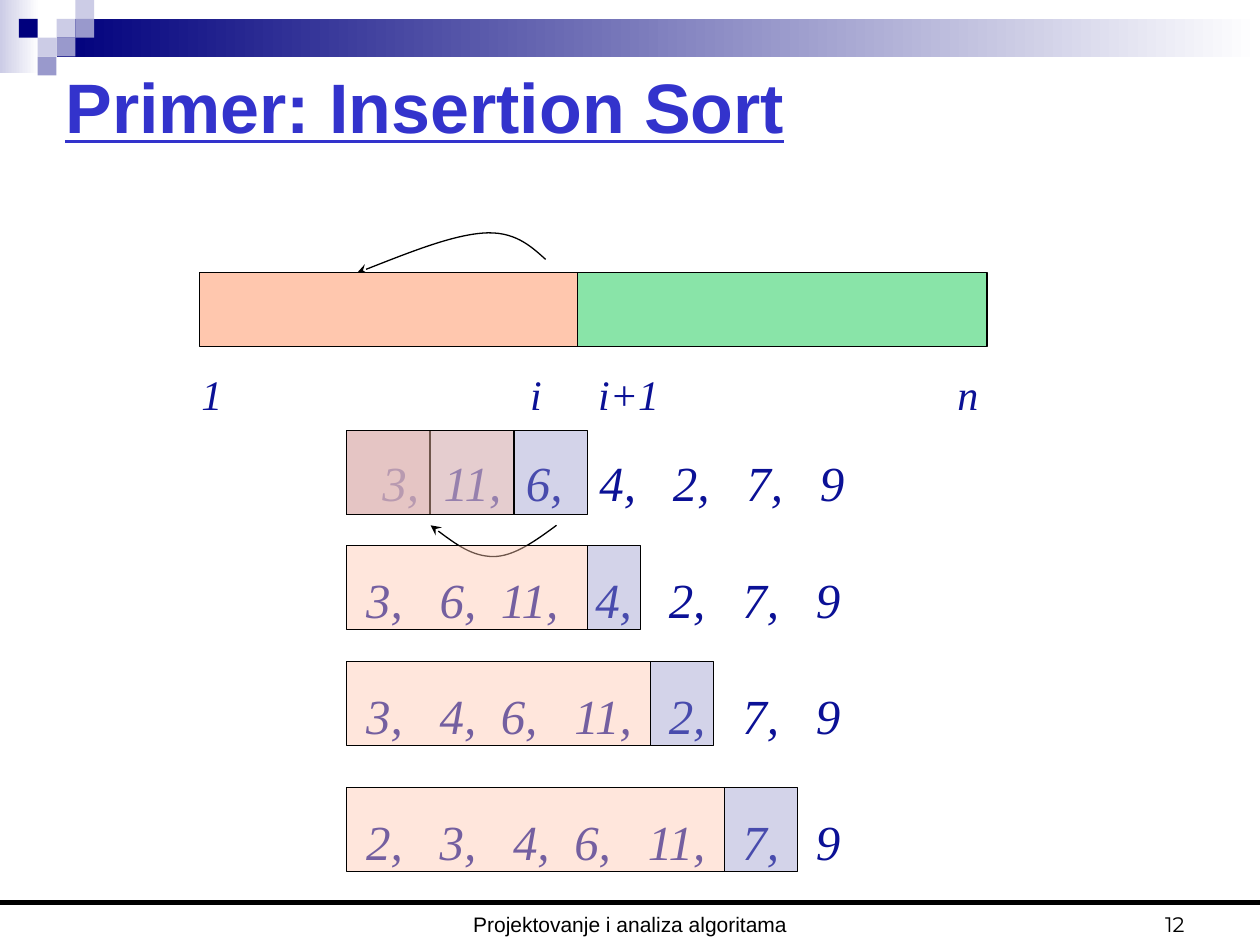
from itertools import accumulate

from lxml import etree
from pptx import Presentation
from pptx.dml.color import RGBColor
from pptx.enum.shapes import MSO_CONNECTOR, MSO_SHAPE
from pptx.enum.text import MSO_ANCHOR, PP_ALIGN
from pptx.oxml.ns import qn
from pptx.util import Cm, Pt

RECT, LINE = MSO_SHAPE.RECTANGLE, MSO_CONNECTOR.STRAIGHT
TOP, MIDDLE, BOTTOM = MSO_ANCHOR.TOP, MSO_ANCHOR.MIDDLE, MSO_ANCHOR.BOTTOM
LEFT, CENTER, RIGHT = PP_ALIGN.LEFT, PP_ALIGN.CENTER, PP_ALIGN.RIGHT

BLACK, WHITE, NAVY = "000000", "FFFFFF", "00007D"
PALE, LILAC = "CCCCE6", "9999CC"
PEACH, GREEN = "FFC7AE", "89E4A8"
GLASS = 43

TITLE = {"name": "Arial", "size": Pt(40), "bold": True, "underline": True}
FOOT = {"name": "Arial", "size": Pt(12)}
PAGE = {"name": "Montserrat", "size": Pt(12)}
LABEL = {"name": "Times New Roman", "size": Pt(24), "italic": True}
DIGIT = {**LABEL, "size": Pt(28)}


def rgb(code):
    return RGBColor.from_string(code)


class Deck:
    ink = "0B1196"
    thin = Pt(0.75)

    def __init__(self):
        self.file = Presentation()
        self.file.slide_width, self.file.slide_height = Cm(25.4), Cm(19.05)
        self.slide = self.file.slides.add_slide(self.file.slide_layouts[6])
        self.shapes = self.slide.shapes

    def rect(self, x, y, w, h, fill, alpha=None, edge=True):
        """Draw a box; a pair of colours as fill gives a gradient."""
        box = self.shapes.add_shape(RECT, Cm(x), Cm(y), Cm(w), Cm(h))
        box.shadow.inherit = False
        if isinstance(fill, tuple):
            box.fill.gradient()
            box.fill.gradient_angle = 0
            for stop, code in zip(box.fill.gradient_stops, fill):
                stop.color.rgb = rgb(code)
        else:
            box.fill.solid()
            box.fill.fore_color.rgb = rgb(fill)
        if alpha:
            color = box._element.spPr.find(".//" + qn("a:srgbClr"))
            etree.SubElement(color, qn("a:alpha"), val=str(alpha * 1000))
        if edge:
            self.stroke(box)
        else:
            box.line.fill.background()

    def stroke(self, shape, width=thin):
        shape.line.color.rgb = rgb(BLACK)
        shape.line.width = width

    def rule(self, x, y, end, width):
        line = self.shapes.add_connector(LINE, Cm(x), Cm(y), Cm(end), Cm(y))
        self.stroke(line, width)
        etree.SubElement(line._element.spPr, qn("a:effectLst"))

    def curve(self, points):
        """Draw an arrow of cubic pieces: a start, then three points each."""
        start, *rest = [(Cm(x), Cm(y)) for x, y in points]
        pen = self.shapes.build_freeform(*start)
        pen.add_line_segments(rest, close=False)
        arc = pen.convert_to_shape()
        arc.shadow.inherit = False
        arc.fill.background()
        self.stroke(arc)
        path = arc._element.spPr.find(".//" + qn("a:path"))
        sides = path.findall(qn("a:lnTo"))
        for i in range(0, len(sides), 3):
            cubic = etree.SubElement(path, qn("a:cubicBezTo"))
            for side in sides[i:i + 3]:
                cubic.append(side[0])
                path.remove(side)
        etree.SubElement(arc.line._get_or_add_ln(), qn("a:tailEnd"), type="stealth")

    def text(self, x, y, w, h, words, style, color=ink, align=LEFT,
             anchor=TOP, inset=0.25, stops=()):
        box = self.shapes.add_textbox(Cm(x), Cm(y), Cm(w), Cm(h))
        frame = box.text_frame
        look = {"word_wrap": True, "vertical_anchor": anchor,
                "margin_left": Cm(inset), "margin_top": Cm(0.23)}
        for key, value in look.items():
            setattr(frame, key, value)
        para = frame.paragraphs[0]
        if stops:
            tabs = etree.SubElement(para._p.get_or_add_pPr(), qn("a:tabLst"))
            for stop in stops:
                etree.SubElement(tabs, qn("a:tab"), pos=str(Pt(stop)), algn="l")
        para.alignment = align
        run = para.add_run()
        run.text = words
        for key, value in style.items():
            setattr(run.font, key, value)
        run.font.color.rgb = rgb(color)

    def row(self, x, y, inset, items, tight):
        """Write a number row; items listed in tight have a smaller gap."""
        steps = [(54 if item == "11" else 42) - 7 * (item in tight)
                 for item in items[:-1]]
        self.text(x, y, 14.18, 1.45, ",\t".join(items), DIGIT,
                  inset=inset, stops=list(accumulate(steps)))

    def save(self):
        self.file.save("out.pptx")


def frame(deck):
    unit = 0.38
    deck.rect(0, 0, 0.79, 1.48, (PALE, WHITE), edge=False)
    deck.rect(1.14, unit, 24.26, 0.77, (NAVY, WHITE), edge=False)
    tiles = [(3, 1, PALE), (4, 0, PALE), (4, 1, LILAC), (2, 2, PALE),
             (1, 1, NAVY), (3, 2, LILAC), (2, 3, LILAC)]
    for col, line, fill in tiles:
        deck.rect(col * unit, line * unit, unit, unit, fill, edge=False)
    deck.rule(0, 18.2, 25.4, Pt(3))
    deck.text(8.68, 17.73, 8.05, 1.27, "Projektovanje i analiza algoritama",
              FOOT, BLACK, CENTER, BOTTOM)
    deck.text(18.2, 17.73, 5.93, 1.27, "12", PAGE, BLACK, RIGHT, BOTTOM)
    deck.text(1.07, 0.18, 22.86, 3.81, "Primer: Insertion Sort",
              TITLE, "3333CC", anchor=MIDDLE)


def scheme(deck):
    deck.curve([(11, 5.23), (10.69, 4.95), (10.36, 4.65), (9.73, 4.7),
                (9.09, 4.75), (8.15, 5.13), (7.2, 5.5)])
    deck.rect(10.16, 5.5, 9.74, 1.48, GREEN)
    deck.rect(4.02, 5.5, 7.62, 1.48, PEACH)
    for x, w, words in [(3.81, 0.84, "1"), (10.44, 0.84, "i"),
                        (19.05, 0.84, "n"), (11.81, 2.11, "i+1")]:
        deck.text(x, 7.2, w, 1.27, words, LABEL)


def steps(deck):
    left, high, side = 6.98, 1.69, 1.69
    deck.row(5.29, 8.89, 2.42, ["3", "11", "6", "4", "2", "7", "9"], ["3", "11"])
    for x, fill in [(left, PEACH), (left + side, LILAC), (left, LILAC)]:
        deck.rect(x, 8.68, side, high, fill, GLASS)
    deck.rect(left + 2 * side, 8.68, 1.48, high, LILAC, GLASS)
    deck.rect(left, 8.68, 2 * side, high, PEACH, GLASS)
    deck.curve([(11.22, 10.59), (10.8, 10.9), (10.36, 11.22), (9.95, 11.22),
                (9.52, 11.22), (9.09, 10.9), (8.68, 10.59)])
    rows = [(11, ["3", "6", "11", "4", "2", "7", "9"], "6", 4.87, 1.06),
            (13.34, ["3", "4", "6", "11", "2", "7", "9"], "4", 6.14, 1.27),
            (15.88, ["2", "3", "4", "6", "11", "7", "9"], "4", 7.62, 1.48)]
    for y, items, tight, done, now in rows:
        deck.row(5.08, y + 0.25, 2.3, items, [tight])
        deck.rect(left + done, y, now, high, LILAC, GLASS)
        deck.rect(left, y, done, high, PEACH, GLASS)


def main():
    deck = Deck()
    frame(deck)
    scheme(deck)
    steps(deck)
    deck.save()


if __name__ == "__main__":
    main()
